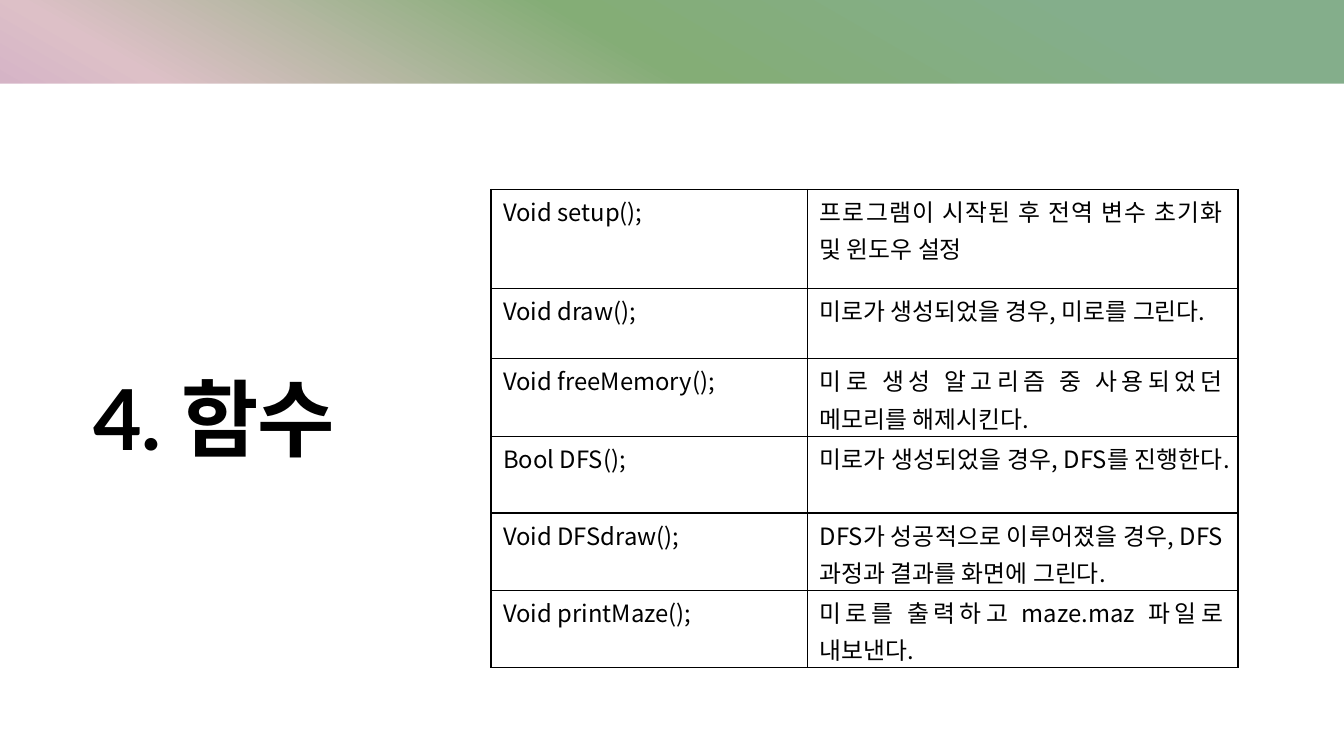
import copy

import pptx
import pptx.dml.color
import pptx.enum.shapes
import pptx.enum.text
import pptx.oxml
import pptx.oxml.ns
import pptx.util
from pptx.util import Inches

TITLE = "4. 함수"
FUNCTIONS = [
    ("Void setup();", "프로그램이 시작된 후 전역 변수 초기화 및 윈도우 설정"),
    ("Void draw();", "미로가 생성되었을 경우, 미로를 그린다."),
    ("Void freeMemory();", "미로 생성 알고리즘 중 사용되었던 메모리를 해제시킨다."),
    ("Bool DFS();", "미로가 생성되었을 경우, DFS를 진행한다."),
    ("Void DFSdraw();", "DFS가 성공적으로 이루어졌을 경우, DFS 과정과 결과를 화면에 그린다."),
    ("Void printMaze();", "미로를 출력하고 maze.maz 파일로 내보낸다."),
]
COLUMN_WIDTHS = [3.14, 4.27]
ROW_HEIGHTS = [0.98, 0.7, 0.77, 0.76, 0.77, 0.76]
COLORS = {"ink": "000000", "paper": "FFFFFF"}
BAND_STOPS = [(0.1, "84AE8B"), (0.3, "84AD76"), (0.5, "DDC0C7"), (0.7, "C193C5"), (0.9, "BA7FA6")]
SLIDE_W, SLIDE_H, BAND_H = 13.33, 7.5, 0.83
KOREAN_FONT = "Noto Sans CJK KR"


def rgb(value):
    return pptx.dml.color.RGBColor.from_string(value)


def add_rect(slide, top, height):
    rect = slide.shapes.add_shape(pptx.enum.shapes.MSO_SHAPE.RECTANGLE,
                                  0, Inches(top), Inches(SLIDE_W), Inches(height))
    rect.shadow.inherit = False
    rect.line.fill.background()
    return rect


def fill_gradient(shape, stops, angle):
    shape.fill.gradient()
    shape.fill.gradient_angle = angle
    stop_list = shape._element.spPr.find(".//" + pptx.oxml.ns.qn("a:gsLst"))
    while len(stop_list) < len(stops):
        stop_list.append(copy.deepcopy(stop_list[0]))
    for stop, (position, color) in zip(shape.fill.gradient_stops, stops):
        stop.position = position
        stop.color.rgb = rgb(color)


def add_run(paragraph, text, size, latin, bold=False):
    run = paragraph.add_run()
    run.text = text
    run.font.size = pptx.util.Pt(size)
    run.font.name = latin
    run.font.bold = bold
    run.font.color.rgb = rgb(COLORS["ink"])
    properties = run._r.get_or_add_rPr()
    east_asian = pptx.oxml.parse_xml(
        f'<a:ea {pptx.oxml.ns.nsdecls("a")} typeface="{KOREAN_FONT}"/>')
    properties.find(pptx.oxml.ns.qn("a:latin")).addnext(east_asian)
    return properties


def add_borders(cell):
    properties = cell._tc.get_or_add_tcPr()
    for index, side in enumerate(("lnL", "lnR", "lnT", "lnB")):
        properties.insert(index, pptx.oxml.parse_xml(
            f'<a:{side} {pptx.oxml.ns.nsdecls("a")} w="12700"><a:solidFill>'
            f'<a:srgbClr val="{COLORS["ink"]}"/></a:solidFill></a:{side}>'))


def fill_cell(cell, text):
    cell.fill.background()
    add_borders(cell)
    cell.margin_left, cell.margin_right = Inches(0.12), Inches(0.15)
    cell.margin_top, cell.margin_bottom = Inches(0.02), 0
    paragraph = cell.text_frame.paragraphs[0]
    paragraph.alignment = pptx.enum.text.PP_ALIGN.JUSTIFY
    paragraph.line_spacing = 1.07
    paragraph.space_after = pptx.util.Pt(8)
    add_run(paragraph, text, 17, KOREAN_FONT)


def main():
    deck = pptx.Presentation()
    deck.slide_width, deck.slide_height = Inches(SLIDE_W), Inches(SLIDE_H)
    slide = deck.slides.add_slide(deck.slide_layouts[6])

    # Gradient background with the white page below its top band
    fill_gradient(add_rect(slide, 0, SLIDE_H), BAND_STOPS, 240)
    page = add_rect(slide, BAND_H, SLIDE_H - BAND_H)
    page.fill.solid()
    page.fill.fore_color.rgb = rgb(COLORS["paper"])

    # Title
    title = slide.shapes.add_textbox(Inches(0.83), Inches(3.66), Inches(11.67), Inches(1.05))
    title.text_frame.word_wrap = True
    title.text_frame.vertical_anchor = pptx.enum.text.MSO_ANCHOR.BOTTOM
    heading = title.text_frame.paragraphs[0]
    heading.line_spacing = 0.95
    add_run(heading, TITLE, 60, "Lato", bold=True).set("spc", "-50")

    # Function table
    functions = slide.shapes.add_table(
        len(FUNCTIONS), len(COLUMN_WIDTHS), Inches(4.87), Inches(1.88),
        Inches(sum(COLUMN_WIDTHS)), Inches(sum(ROW_HEIGHTS))).table
    functions.first_row = functions.horz_banding = False
    for column, width in zip(functions.columns, COLUMN_WIDTHS):
        column.width = Inches(width)
    for row, height, texts in zip(functions.rows, ROW_HEIGHTS, FUNCTIONS):
        row.height = Inches(height)
        for cell, text in zip(row.cells, texts):
            fill_cell(cell, text)

    deck.save("out.pptx")


if __name__ == "__main__":
    main()
